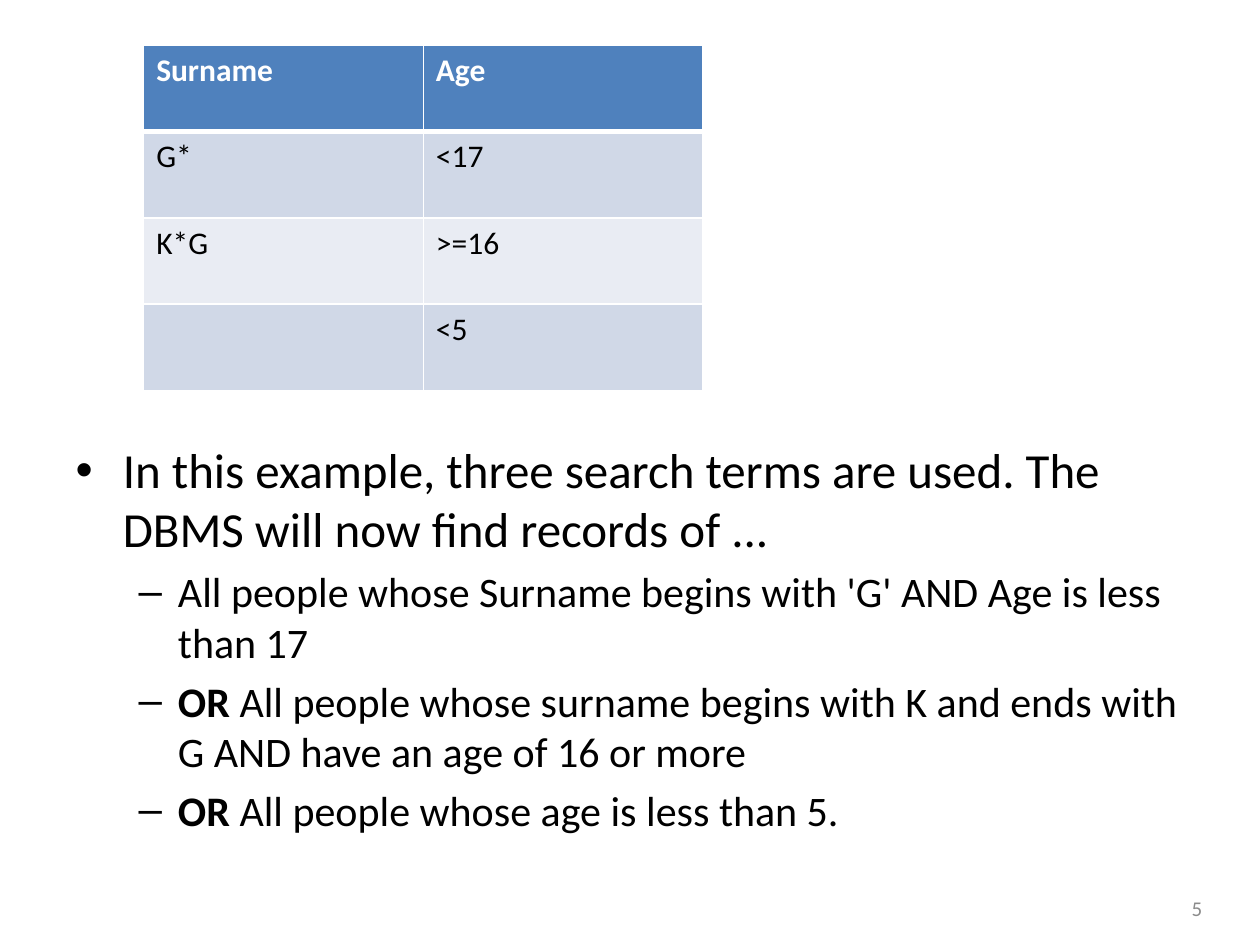
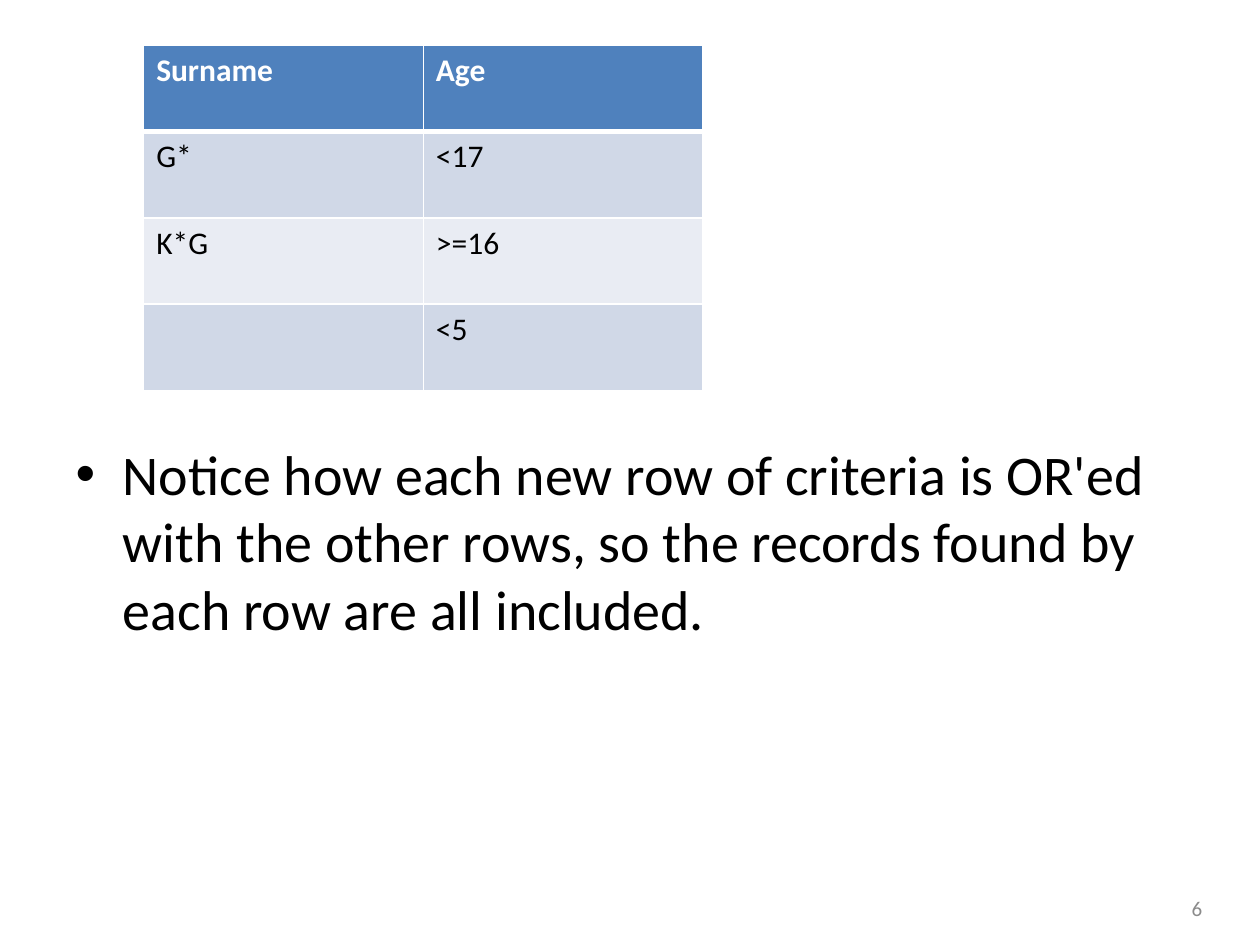
from lxml import etree
from pptx import Presentation
from pptx.dml.color import RGBColor
from pptx.enum import text
from pptx.oxml import ns
from pptx.util import Inches, Pt

COLOURS = {"header": "4F81BD", "odd": "D0D8E7", "even": "E9ECF3",
           "white": "FFFFFF", "black": "000000", "number": "8B8B8B"}
FONT = "Calibri"

CRITERIA = [("Surname", "Age"), ("G*", "<17"), ("K*G", ">=16"), ("", "<5")]

# Each paragraph: level, size, runs of (wording, bold)
SLIDES = [
    (5, [
        (0, 28, [("In this example, three search terms are used. "
                  "The DBMS will now find records of ...", False)]),
        (1, 24, [("All people whose Surname begins with 'G' AND Age is less than 17", False)]),
        (1, 24, [("OR", True), (" All people whose surname begins with K and ends with G "
                                "AND have an age of 16 or more", False)]),
        (1, 24, [("OR", True), (" All people whose age is less than 5.", False)]),
    ]),
    (6, [
        (0, 32, [("Notice how each new row of criteria is OR'ed with the other rows, "
                  "so the records found by each row are all included.", False)]),
    ]),
]


def style(font, size, colour, bold=False):
    font.name, font.size, font.bold = FONT, Pt(size), bold
    font.color.rgb = RGBColor.from_string(COLOURS[colour])


def set_borders(cell, top, bottom):
    """Draw white cell borders; must run before the fill is set."""
    properties = cell._tc.get_or_add_tcPr()
    for side, width in (("L", 1), ("R", 1), ("T", top), ("B", bottom)):
        line = etree.SubElement(properties, ns.qn(f"a:ln{side}"), w=str(Pt(width)))
        fill = etree.SubElement(line, ns.qn("a:solidFill"))
        etree.SubElement(fill, ns.qn("a:srgbClr"), val=COLOURS["white"])


def add_criteria_table(page):
    rows, columns = len(CRITERIA), len(CRITERIA[0])
    table = page.shapes.add_table(rows, columns, Inches(1.14), Inches(0.36),
                                  Inches(2.22 * columns), Inches(0.685 * rows)).table
    for r, values in enumerate(CRITERIA):
        band = "header" if r == 0 else "odd" if r % 2 else "even"
        for c, value in enumerate(values):
            cell = table.cell(r, c)
            set_borders(cell, top=3 if r == 1 else 1, bottom=3 if r == 0 else 1)
            cell.fill.solid()
            cell.fill.fore_color.rgb = RGBColor.from_string(COLOURS[band])
            cell.text_frame.text = value
            style(cell.text_frame.paragraphs[0].font, 18,
                  "white" if r == 0 else "black", bold=r == 0)


def fill_body(body, paragraphs):
    body.left, body.top, body.width, body.height = map(Inches, (0.5, 3.44, 9, 2.36))
    frame = body.text_frame
    frame.auto_size = text.MSO_AUTO_SIZE.NONE
    for i, (level, size, spans) in enumerate(paragraphs):
        para = frame.add_paragraph() if i else frame.paragraphs[0]
        para.level = level
        para.space_before = Pt(size * 0.2 if i else 0)
        for wording, bold in spans:
            span = para.add_run()
            span.text = wording
            style(span.font, size, "black", bold)


def add_page_number(page, number):
    box = page.shapes.add_textbox(Inches(9.17), Inches(7.06), Inches(0.47), Inches(0.29))
    frame = box.text_frame
    frame.word_wrap = True
    frame.vertical_anchor = text.MSO_ANCHOR.MIDDLE
    frame.text = str(number)
    para = frame.paragraphs[0]
    para.alignment = text.PP_ALIGN.RIGHT
    style(para.runs[0].font, 12, "number")


def main():
    deck = Presentation()
    deck.slide_width, deck.slide_height = Inches(10), Inches(7.5)
    for number, paragraphs in SLIDES:
        page = deck.slides.add_slide(deck.slide_layouts[1])
        title = page.shapes.title.element
        title.getparent().remove(title)
        fill_body(page.placeholders[1], paragraphs)
        add_page_number(page, number)
        add_criteria_table(page)
    deck.save("out.pptx")


if __name__ == "__main__":
    main()
